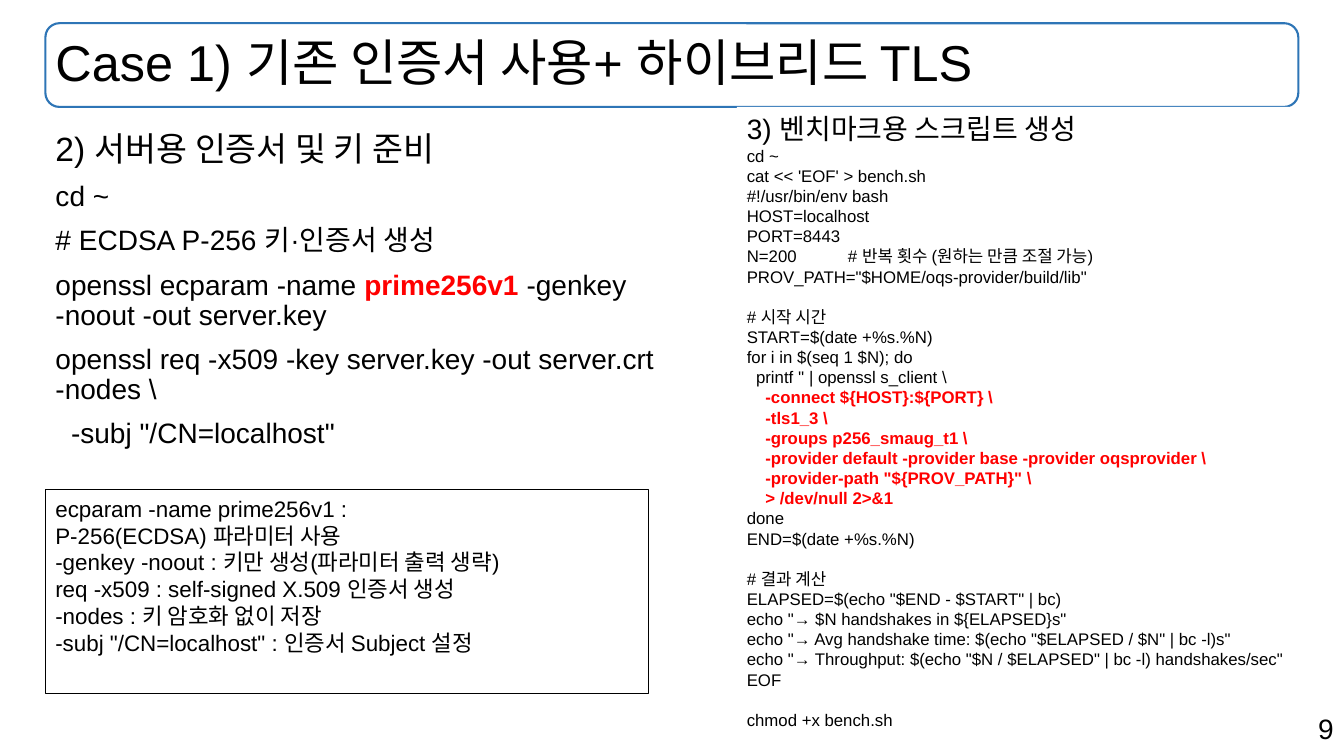
from lxml import etree
from pptx import Presentation
from pptx.dml.color import RGBColor
from pptx.enum.shapes import MSO_SHAPE
from pptx.enum.text import MSO_ANCHOR, MSO_AUTO_SIZE, PP_ALIGN
from pptx.oxml.ns import qn
from pptx.util import Inches, Pt

ROUND, RECT = MSO_SHAPE.ROUNDED_RECTANGLE, MSO_SHAPE.RECTANGLE
TOP, MIDDLE = MSO_ANCHOR.TOP, MSO_ANCHOR.MIDDLE
LEFT, RIGHT = PP_ALIGN.LEFT, PP_ALIGN.RIGHT
FIXED = MSO_AUTO_SIZE.NONE

BLACK = RGBColor(0x00, 0x00, 0x00)
WHITE = RGBColor(0xFF, 0xFF, 0xFF)
RED = RGBColor(0xFF, 0x00, 0x00)
BLUE = RGBColor(0x2E, 0x75, 0xB6)
FACE = "Arial"
WIDE, HIGH = Inches(13.33), Inches(7.5)

# Places: left, top, width, height in percent of the slide
HEAD = (3.38, 3.07, 93.22, 11.07)
STEPS = (3.38, 16.8, 46.65, 80.13)
CODE = (54.83, 14.13, 41.85, 83.87)
NOTE = (3.38, 64.8, 44.85, 26.93)
PAGE = (70.73, 93.47, 29.25, 5.87)

TITLE = "Case 1) 기존 인증서 사용+ 하이브리드 TLS"
STEP_HEAD = "2) 서버용 인증서 및 키 준비"
KEY = ("openssl ecparam -name ", "prime256v1",
       " -genkey -noout -out server.key")
STEP_TEXT = [
    "cd ~",
    "# ECDSA P-256 키·인증서 생성",
    KEY,
    "openssl req -x509 -key server.key -out server.crt -nodes \\",
    '  -subj "/CN=localhost"',
]
NOTE_TEXT = [
    "ecparam -name prime256v1 : \nP-256(ECDSA) 파라미터 사용",
    "-genkey -noout : 키만 생성(파라미터 출력 생략)",
    "req -x509 : self-signed X.509 인증서 생성",
    "-nodes : 키 암호화 없이 저장",
    '-subj "/CN=localhost" : 인증서 Subject 설정',
]
CODE_HEAD = "3) 벤치마크용 스크립트 생성"

# Blocks of the script, parted by one line's space
SETUP = """cd ~
cat << 'EOF' > bench.sh
#!/usr/bin/env bash
HOST=localhost
PORT=8443
N=200           # 반복 횟수 (원하는 만큼 조절 가능)
PROV_PATH="$HOME/oqs-provider/build/lib\""""
LOOP = """# 시작 시간
START=$(date +%s.%N)
for i in $(seq 1 $N); do
  printf '' | openssl s_client \\"""
FLAGS = """    -connect ${HOST}:${PORT} \\
    -tls1_3 \\
    -groups p256_smaug_t1 \\
    -provider default -provider base -provider oqsprovider \\
    -provider-path "${PROV_PATH}" \\
    > /dev/null 2>&1"""
CLOSE = """done
END=$(date +%s.%N)"""
RESULT = """# 결과 계산
ELAPSED=$(echo "$END - $START" | bc)
echo "→ $N handshakes in ${ELAPSED}s"
echo "→ Avg handshake time: $(echo "$ELAPSED / $N" | bc -l)s"
echo "→ Throughput: $(echo "$N / $ELAPSED" | bc -l) handshakes/sec"
EOF"""
GRANT = "chmod +x bench.sh"
BLOCKS = [(SETUP, 0, BLACK), (LOOP, 14.3, BLACK), (FLAGS, 0, RED),
          (CLOSE, 0, BLACK), (RESULT, 14.3, BLACK), (GRANT, 14.3, BLACK)]


def area(place):
    left, top, width, height = place
    return (int(WIDE * left / 100), int(HIGH * top / 100),
            int(WIDE * width / 100), int(HIGH * height / 100))


def move(shape, place):
    shape.left, shape.top, shape.width, shape.height = area(place)


def setup(frame, anchor=TOP):
    frame.word_wrap = True
    frame.auto_size = FIXED
    frame.vertical_anchor = anchor


def write(frame, text, size, color=BLACK, gap=0, line=1.0, align=LEFT):
    """Add one paragraph; a tuple holds plain, red and plain parts."""
    para = frame.paragraphs[0]
    if para.runs:
        para = frame.add_paragraph()
    if isinstance(text, tuple):
        for part in text:
            para.add_run().text = part
        mark = para.runs[1].font
        mark.bold, mark.color.rgb = True, RED
    else:
        para.text = text
    para.alignment, para.line_spacing = align, line
    para.space_before = Pt(gap)
    props = para._p.get_or_add_pPr()
    props.set("marL", "0")
    props.set("indent", "0")
    etree.SubElement(props, qn("a:buNone"))
    font = para.font
    font.name, font.size = FACE, Pt(size)
    font.color.rgb = color
    font.bold = color == RED


def panel(slide, kind, place, fill=None, edge=None, width=0.75):
    shape = slide.shapes.add_shape(kind, *area(place))
    shape.shadow.inherit = False
    if fill is None:
        shape.fill.background()
    else:
        shape.fill.solid()
        shape.fill.fore_color.rgb = fill
    if edge is None:
        shape.line.fill.background()
    else:
        shape.line.color.rgb = edge
        shape.line.width = Pt(width)
    setup(shape.text_frame)
    return shape.text_frame


def main():
    deck = Presentation()
    deck.slide_width, deck.slide_height = WIDE, HIGH
    slide = deck.slides.add_slide(deck.slide_layouts[1])
    title, body = slide.placeholders

    # Title in its frame
    panel(slide, ROUND, HEAD, edge=BLUE, width=1.5)
    move(title, HEAD)
    setup(title.text_frame, MIDDLE)
    write(title.text_frame, TITLE, 36, line=0.9)

    # Certificate steps
    move(body, STEPS)
    setup(body.text_frame)
    write(body.text_frame, STEP_HEAD, 24, line=0.9)
    for step in STEP_TEXT:
        write(body.text_frame, step, 20, gap=10, line=0.9)

    # Benchmark script
    code = panel(slide, RECT, CODE, fill=WHITE)
    write(code, CODE_HEAD, 20)
    for block, gap, color in BLOCKS:
        for row, text in enumerate(block.split("\n")):
            write(code, text, 12, color, 0 if row else gap)

    # Option notes
    note = panel(slide, RECT, NOTE, fill=WHITE, edge=BLACK)
    for text in NOTE_TEXT:
        write(note, text, 16)

    # Page number
    page = slide.shapes.add_textbox(*area(PAGE)).text_frame
    setup(page)
    write(page, "9", 20, align=RIGHT)

    deck.save("out.pptx")


if __name__ == "__main__":
    main()
